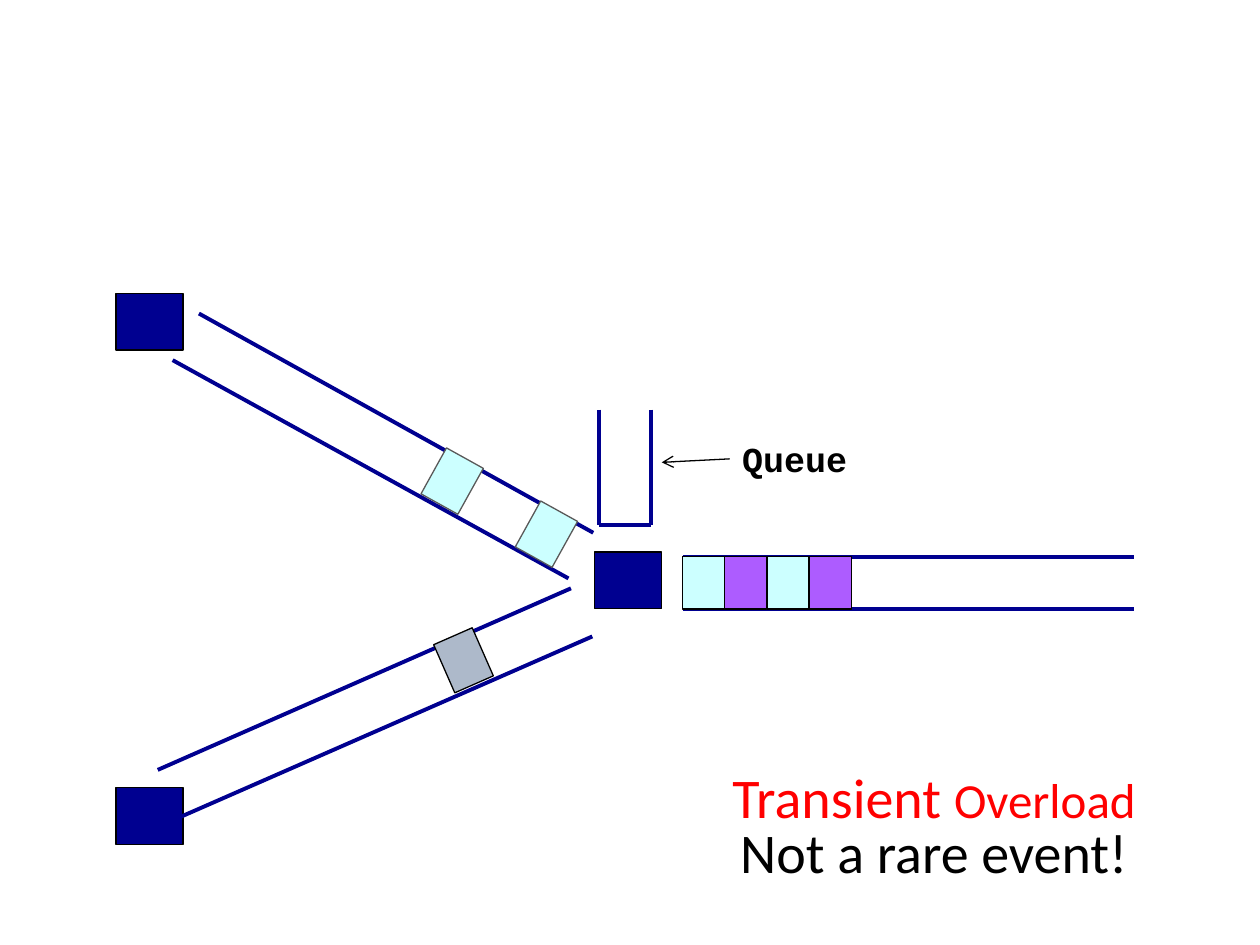
"""Build a slide showing transient overload at a switch queue."""
from dataclasses import dataclass

from lxml import etree
from pptx import Presentation
from pptx.dml.color import RGBColor
from pptx.enum.shapes import MSO_CONNECTOR, MSO_SHAPE
from pptx.enum.text import MSO_AUTO_SIZE, PP_ALIGN
from pptx.oxml.ns import qn
from pptx.util import Cm, Pt

STRAIGHT = MSO_CONNECTOR.STRAIGHT
RECTANGLE = MSO_SHAPE.RECTANGLE
GROW = MSO_AUTO_SIZE.SHAPE_TO_FIT_TEXT
CENTER = PP_ALIGN.CENTER
LEFT = PP_ALIGN.LEFT


@dataclass(frozen=True)
class Theme:
    navy: str = "000090"
    black: str = "000000"
    red: str = "FF0000"
    cyan: str = "CCFFFF"
    purple: str = "AD5CFF"
    steel: str = "ADB9CA"
    outline: str = "595959"
    body_font: str = "Calibri"
    label_font: str = "Courier New"
    large: int = 32
    medium: int = 28
    label: int = 20
    thick: float = 2.25
    thin: float = 0.75


theme = Theme()
presentation = Presentation()
presentation.slide_width = Cm(25.4)
presentation.slide_height = Cm(19.05)
slide = presentation.slides.add_slide(presentation.slide_layouts[6])


def add_box(left, top, width, height, fill, outline=theme.black, rotation=0):
    shape = slide.shapes.add_shape(RECTANGLE, Cm(left), Cm(top), Cm(width), Cm(height))
    shape.shadow.inherit = False
    shape.fill.solid()
    shape.fill.fore_color.rgb = RGBColor.from_string(fill)
    shape.line.color.rgb = RGBColor.from_string(outline)
    shape.line.width = Pt(theme.thin)
    shape.rotation = rotation


def add_line(start_x, start_y, end_x, end_y, color=theme.navy, width=theme.thick):
    connector = slide.shapes.add_connector(STRAIGHT, Cm(start_x), Cm(start_y), Cm(end_x), Cm(end_y))
    connector.line.color.rgb = RGBColor.from_string(color)
    connector.line.width = Pt(width)
    etree.SubElement(connector._element.spPr, qn("a:effectLst"))
    return connector


node_width, node_height = 1.35, 1.14
for left, top in [(11.99, 11.13), (2.34, 5.92), (2.34, 15.88)]:
    add_box(left, top, node_width, node_height, theme.navy)

queue_left, queue_right, queue_top, queue_bottom = 12.07, 13.12, 8.26, 10.58
output_left, output_right, output_top = 13.76, 22.86, 11.22
packet_width, packet_height = 0.85, 1.06
output_bottom = output_top + packet_height
for ends in [
    (4.01, 6.32, 11.96, 10.74),
    (3.48, 7.26, 11.46, 11.66),
    (3.18, 15.52, 11.51, 11.86),
    (3.61, 16.48, 11.94, 12.83),
    (queue_left, queue_top, queue_left, queue_bottom),
    (queue_right, queue_top, queue_right, queue_bottom),
    (queue_left, queue_bottom, queue_right, queue_bottom),
    (output_left, output_top, output_right, output_top),
    (output_left, output_bottom, output_right, output_bottom),
]:
    add_line(*ends)

for left, top, fill, outline, rotation in [
    (10.59, 10.24, theme.cyan, theme.outline, 29),
    (8.69, 9.17, theme.cyan, theme.outline, 29),
    (8.92, 12.78, theme.steel, theme.black, 336.3),
]:
    add_box(left, top, packet_width, packet_height, fill, outline, rotation)

for index, fill in enumerate([theme.cyan, theme.purple] * 2):
    add_box(output_left + index * packet_width, output_top, packet_width, packet_height, fill)

body, label = theme.body_font, theme.label_font
for left, top, width, height, wrap, alignment, runs in [
    (12.9, 15.24, 11.86, 1.63, True, CENTER, [
        ("Transient ", theme.large, theme.red, body, False),
        ("Overload", theme.medium, theme.red, body, False),
    ]),
    (12.9, 16.36, 11.86, 1.63, True, CENTER, [
        ("Not a rare event!", theme.large, theme.black, body, False),
    ]),
    (14.71, 8.69, 2.64, 1.12, False, LEFT, [
        ("Queue", theme.label, theme.black, label, True),
    ]),
]:
    text_box = slide.shapes.add_textbox(Cm(left), Cm(top), Cm(width), Cm(height))
    text_box.text_frame.word_wrap = wrap
    text_box.text_frame.auto_size = GROW
    paragraph = text_box.text_frame.paragraphs[0]
    paragraph.alignment = alignment
    for text, size, color, font_name, bold in runs:
        run = paragraph.add_run()
        run.text = text
        run.font.size = Pt(size)
        run.font.name = font_name
        run.font.bold = bold
        run.font.color.rgb = RGBColor.from_string(color)
    if text_box.text_frame.text == "Queue":
        queue_label = text_box

queue_arrow = add_line(14.71, 9.25, 13.34, 9.32, theme.black, theme.thin)
queue_arrow.begin_connect(queue_label, 1)
etree.SubElement(queue_arrow.line._get_or_add_ln(), qn("a:tailEnd"), type="arrow")

presentation.save("out.pptx")
